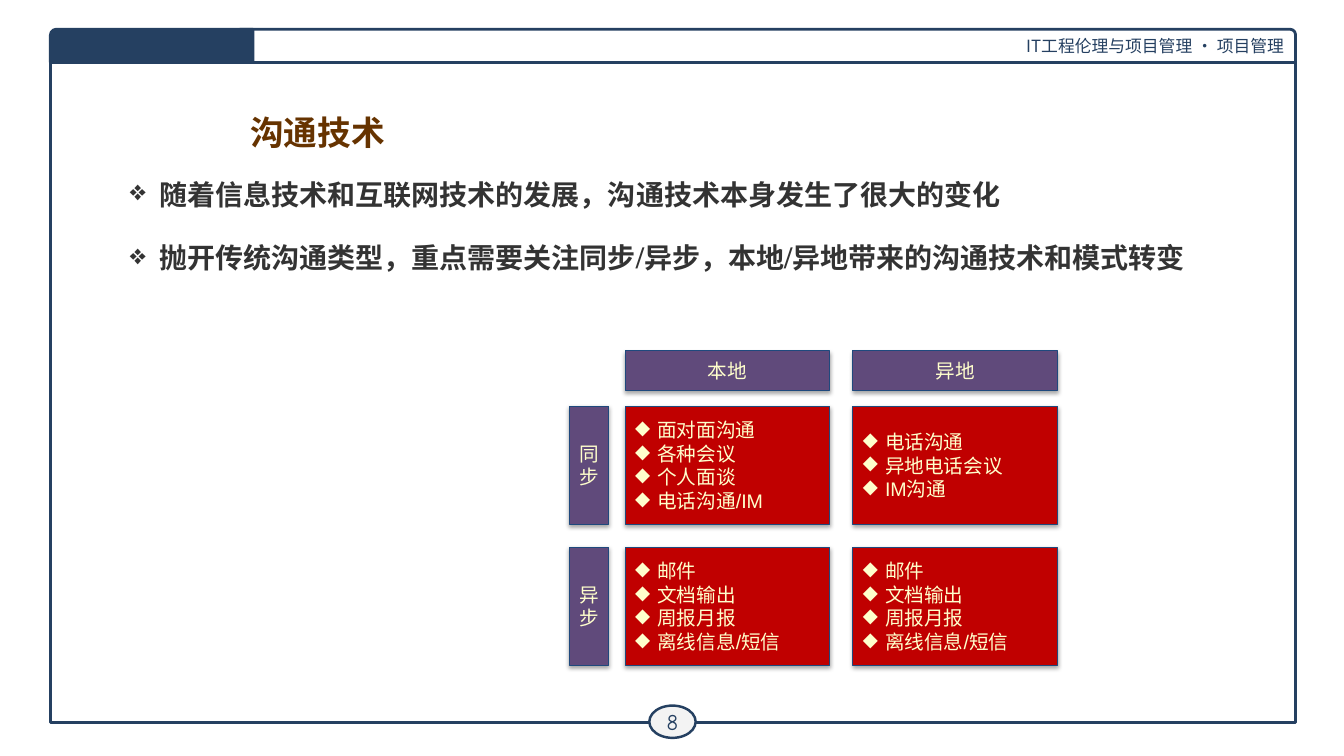
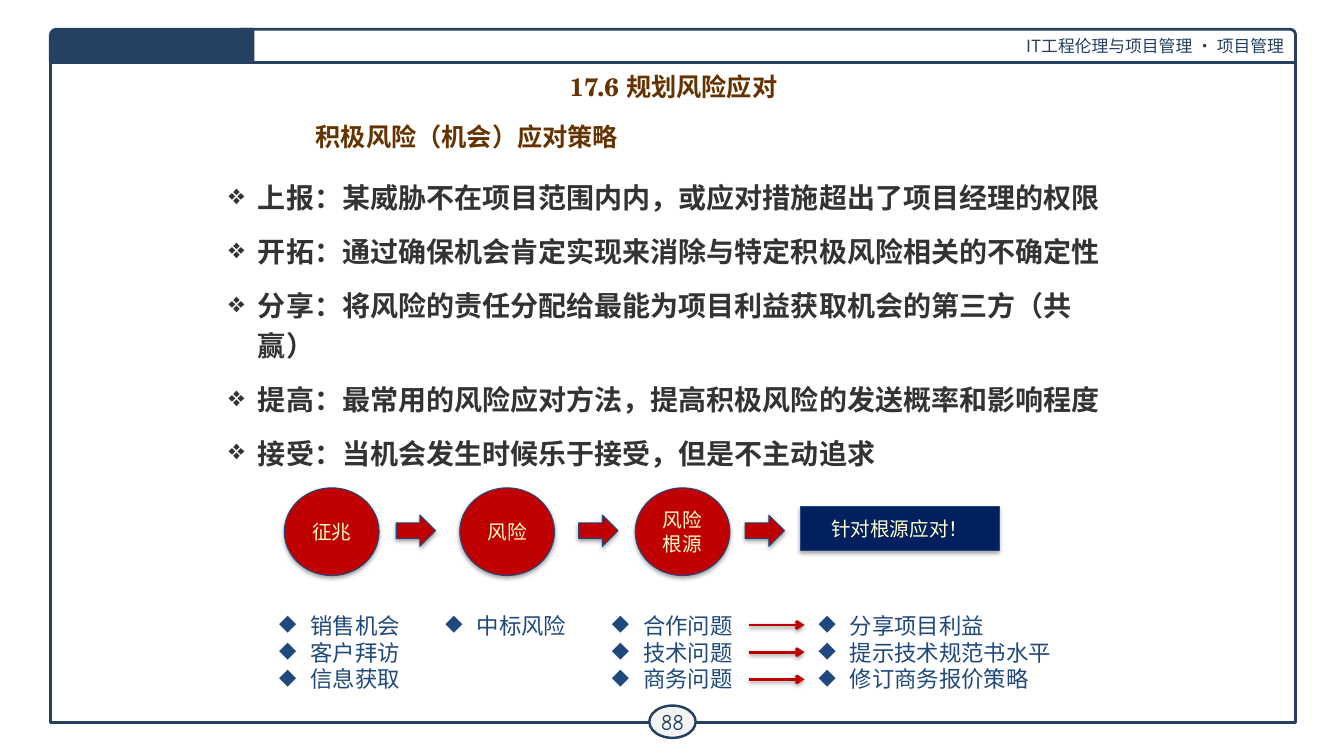
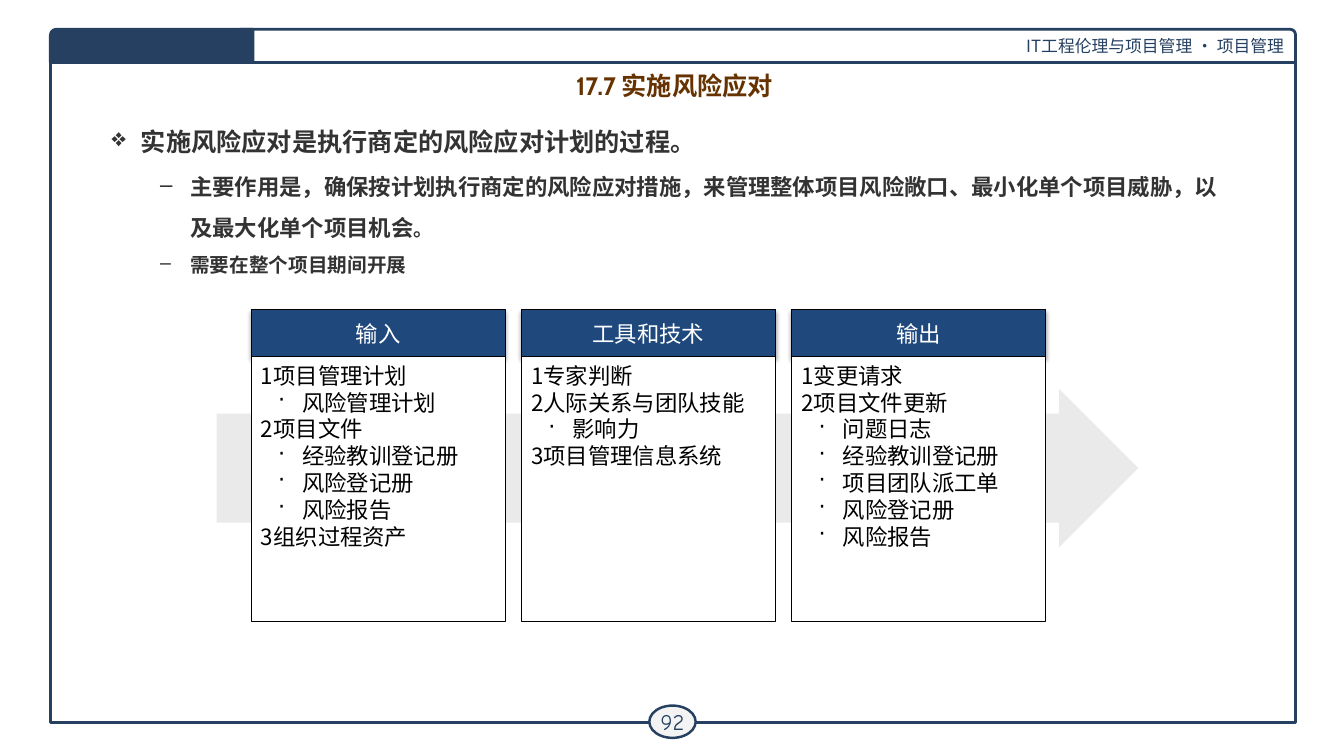
from dataclasses import dataclass

from lxml.etree import SubElement
from pptx import Presentation
from pptx.dml.color import RGBColor
from pptx.enum.shapes import MSO_CONNECTOR, MSO_SHAPE
from pptx.enum.text import MSO_ANCHOR, PP_ALIGN
from pptx.oxml.ns import qn
from pptx.util import Inches, Pt

# Content
COURSE = "IT工程伦理与项目管理 · 项目管理"

CHANNELS_TITLE = "沟通技术"
CHANNELS_POINTS = [
    "随着信息技术和互联网技术的发展，沟通技术本身发生了很大的变化",
    "抛开传统沟通类型，重点需要关注同步/异步，本地/异地带来的沟通技术和模式转变",
]
PLACES = ["本地", "异地"]
ASYNC_CHANNELS = ["邮件", "文档输出", "周报月报", "离线信息/短信"]
CHANNELS = {
    "同步": [
        ["面对面沟通", "各种会议", "个人面谈", "电话沟通/IM"],
        ["电话沟通", "异地电话会议", "IM沟通"],
    ],
    "异步": [ASYNC_CHANNELS, ASYNC_CHANNELS],
}

RISK_TITLE = "17.6 规划风险应对"
RISK_SUBTITLE = "积极风险（机会）应对策略"
RISK_POINTS = [
    "上报：某威胁不在项目范围内内，或应对措施超出了项目经理的权限",
    "开拓：通过确保机会肯定实现来消除与特定积极风险相关的不确定性",
    "分享：将风险的责任分配给最能为项目利益获取机会的第三方（共赢）",
    "提高：最常用的风险应对方法，提高积极风险的发送概率和影响程度",
    "接受：当机会发生时候乐于接受，但是不主动追求",
]
RISK_STAGES = ["征兆", "风险", "风险根源"]
RISK_ANSWER = "针对根源应对！"
STAGE_ARROW_LEFTS = [3.93, 5.74, 7.39]
STAGE_EXAMPLES = [
    ["销售机会", "客户拜访", "信息获取"],
    ["中标风险"],
    ["合作问题", "技术问题", "商务问题"],
]
ANSWERS = ["分享项目利益", "提示技术规范书水平", "修订商务报价策略"]

PROCESS_TITLE = "17.7 实施风险应对"
FULL_STOP = ("。", {"name": "TeX Gyre Schola"})
SMALL_STOP = ("。", {"name": "TeX Gyre Schola", "size": Pt(14)})
PROCESS_POINTS = [
    ("process", [("实施风险应对是执行商定的风险应对计划的过程", {}), FULL_STOP]),
    ("detail", [("主要作用是，确保按计划执行商定的风险应对措施，来管理整体项目风险敞口、"
                 "最小化单个项目威胁，以及最大化单个项目机会", {}), SMALL_STOP]),
    ("detail", [("需要在整个项目期间开展", SMALL_STOP[1])]),
]
# A nested list holds the sub-items of the entry before it
PROCESS_PANELS = {
    "输入": ["1项目管理计划", ["风险管理计划"], "2项目文件",
             ["经验教训登记册", "风险登记册", "风险报告"], "3组织过程资产"],
    "工具和技术": ["1专家判断", "2人际关系与团队技能", ["影响力"], "3项目管理信息系统"],
    "输出": ["1变更请求", "2项目文件更新",
             ["问题日志", "经验教训登记册", "项目团队派工单", "风险登记册", "风险报告"]],
}


# Theme
@dataclass(frozen=True)
class Style:
    font: str
    size: float
    color: str
    bold: bool = False
    align: PP_ALIGN = PP_ALIGN.LEFT
    line: float = 1.0
    before: float = 0
    after: float = 0
    margin: float = 0
    hang: float = 0
    bullet: str = ""


class Theme:
    navy, blue, red = "254061", "1F497D", "C00000"
    purple, midnight, brown = "604A7B", "002060", "663300"
    cream, ink, white, black = "FFFFCC", "333333", "FFFFFF", "000000"
    badge, pale = "F3F3F3", "EAEAEA"
    serif, sans, cjk = "TeX Gyre Schola", "Arial", "Noto Sans CJK SC"
    center = PP_ALIGN.CENTER
    point = dict(bold=True, before=7.2, after=2.4, margin=0.29, hang=0.29, bullet="❖")
    styles = {
        "course": Style(cjk, 12, navy, align=PP_ALIGN.RIGHT),
        "page": Style("Comic Neue", 16, navy, align=center),
        "title": Style(serif, 24, brown, True, center),
        "section": Style(serif, 18, brown, True, center),
        "process_title": Style("Cabin", 18, brown, True, center),
        "loose": Style(serif, 20, ink, line=1.5, **point),
        "tight": Style(serif, 20, ink, line=1.2, **point),
        "process": Style("Cabin", 18, ink, line=1.3, **point),
        "detail": Style("Cabin", 16, ink, True, line=1.5, before=0.4, after=0.1,
                        margin=0.78, hang=0.3, bullet="–"),
        "label": Style(sans, 14, cream, align=center),
        "channel": Style(sans, 14, cream, margin=0.22, hang=0.22, bullet="◆"),
        "example": Style(sans, 16, blue, margin=0.31, hang=0.31, bullet="◆"),
        "panel_head": Style(cjk, 16, white, align=center),
        "panel": Style(cjk, 16, black),
        "panel_sub": Style(cjk, 16, black, margin=0.41, hang=0.24, bullet="·"),
    }


# Helpers
def assign(target, values):
    for name, value in values.items():
        setattr(target, name, value)


def rgb(color):
    return RGBColor.from_string(color)


def set_shadow(shape, visible, alpha=35, distance=1.8):
    properties = shape._element.spPr
    for old in properties.findall(qn("a:effectLst")):
        properties.remove(old)
    effects = SubElement(properties, qn("a:effectLst"))
    if visible:
        outer = SubElement(effects, qn("a:outerShdw"), blurRad=str(Pt(3.1)),
                           dist=str(Pt(distance)), dir="5400000", rotWithShape="0")
        tint = SubElement(outer, qn("a:srgbClr"), val=Theme.black)
        SubElement(tint, qn("a:alpha"), val=str(alpha * 1000))


def write(frame, paragraphs, anchor=MSO_ANCHOR.TOP, wrap=True):
    """Fill a frame with (style name, text or list of (text, font values))."""
    assign(frame, {"word_wrap": wrap, "vertical_anchor": anchor})
    for index, (style_name, content) in enumerate(paragraphs):
        style = Theme.styles[style_name]
        paragraph = frame.add_paragraph() if index else frame.paragraphs[0]
        assign(paragraph, {
            "alignment": style.align, "line_spacing": style.line,
            "space_before": Pt(style.before if index else 0),
            "space_after": Pt(style.after),
        })
        if style.bullet:
            properties = paragraph._p.get_or_add_pPr()
            properties.set("marL", str(Inches(style.margin)))
            properties.set("indent", str(-Inches(style.hang)))
            SubElement(properties, qn("a:buChar"), char=style.bullet)
        runs = [(content, {})] if isinstance(content, str) else content
        for text, changes in runs:
            run = paragraph.add_run()
            run.text = text
            assign(run.font, {"name": style.font, "size": Pt(style.size),
                              "bold": style.bold, **changes})
            run.font.color.rgb = rgb(style.color)


def styled(style_name, texts):
    return [(style_name, text) for text in texts]


def add_text(slide, box, paragraphs, wrap=True):
    textbox = slide.shapes.add_textbox(*map(Inches, box))
    write(textbox.text_frame, paragraphs, wrap=wrap)


def add_block(slide, kind, box, fill=None, line=Theme.blue, weight=0.75,
              shadow=True, paragraphs=(), anchor=MSO_ANCHOR.MIDDLE, wrap=True):
    block = slide.shapes.add_shape(kind, *map(Inches, box))
    block.shadow.inherit = False
    if fill:
        block.fill.solid()
        block.fill.fore_color.rgb = rgb(fill)
    else:
        block.fill.background()
    if line:
        block.line.color.rgb = rgb(line)
        block.line.width = Pt(weight)
    else:
        block.line.fill.background()
    set_shadow(block, shadow)
    write(block.text_frame, paragraphs, anchor, wrap)
    return block


def add_arrow(slide, left, right, y):
    arrow = slide.shapes.add_connector(
        MSO_CONNECTOR.STRAIGHT, *map(Inches, (left, y, right, y)))
    arrow.line.color.rgb = rgb(Theme.red)
    arrow.line.width = Pt(2)
    SubElement(arrow.get_or_add_ln(), qn("a:tailEnd"), type="arrow")
    set_shadow(arrow, True, alpha=38, distance=1.6)


# Shared page frame
def add_page(deck, number):
    slide = deck.slides.add_slide(deck.slide_layouts[6])
    edge = dict(line=Theme.navy, weight=2, shadow=False)
    corner = MSO_SHAPE.ROUND_1_RECTANGLE
    add_block(slide, MSO_SHAPE.RECTANGLE, (0.5, 0.5, 12.35, 6.67), **edge)
    add_block(slide, corner, (2.38, 0.29, 10.47, 0.33), Theme.white,
              paragraphs=[("course", COURSE)], **edge)
    badge = add_block(slide, MSO_SHAPE.OVAL, (6.44, 7, 0.46, 0.32), Theme.badge,
                      paragraphs=[("page", str(number))], wrap=False,
                      **{**edge, "weight": 1.75})
    sides = ("left", "top", "right", "bottom")
    assign(badge.text_frame, {f"margin_{side}": Inches(0.04) for side in sides})
    tab = add_block(slide, corner, (0.5, 0.29, 2.01, 0.33), Theme.navy, **edge)
    tab.adjustments[0] = 0.18
    tab._element.spPr.xfrm.set("flipH", "1")
    return slide


# Slides
def build_channels(deck):
    slide = add_page(deck, 8)
    add_text(slide, (1.41, 1.06, 3.48, 0.48), [("title", CHANNELS_TITLE)])
    add_text(slide, (1.19, 1.54, 10.84, 1.01), styled("loose", CHANNELS_POINTS))

    lefts = [6.2 + 2.26 * column for column in range(len(PLACES))]
    width, height, band = 2.03, 1.17, 0.39
    for left, place in zip(lefts, PLACES):
        add_block(slide, MSO_SHAPE.RECTANGLE, (left, 3.48, width, band),
                  Theme.purple, paragraphs=[("label", place)])
    for row, (timing, cells) in enumerate(CHANNELS.items()):
        top = 4.03 + 1.4 * row
        add_block(slide, MSO_SHAPE.RECTANGLE, (5.65, top, band, height),
                  Theme.purple, paragraphs=[("label", timing)])
        for left, channels in zip(lefts, cells):
            add_block(slide, MSO_SHAPE.RECTANGLE, (left, top, width, height),
                      Theme.red, paragraphs=styled("channel", channels))


def build_risk_answers(deck):
    slide = add_page(deck, 88)
    add_text(slide, (2.18, 0.66, 9, 0.48), [("section", RISK_TITLE)])
    add_text(slide, (2.02, 1.15, 5.22, 0.48), [("section", RISK_SUBTITLE)])
    add_text(slide, (2.17, 1.68, 8.92, 1.5), styled("tight", RISK_POINTS))

    # Chain from sign to root cause
    for index, stage in enumerate(RISK_STAGES):
        add_block(slide, MSO_SHAPE.OVAL, (2.82 + 1.74 * index, 4.84, 0.94, 0.87),
                  Theme.red, paragraphs=[("label", stage)])
    for left in STAGE_ARROW_LEFTS:
        add_block(slide, MSO_SHAPE.RIGHT_ARROW, (left, 5.11, 0.39, 0.31), Theme.red)
    add_block(slide, MSO_SHAPE.RECTANGLE, (7.94, 5.03, 1.97, 0.43),
              Theme.midnight, paragraphs=[("label", RISK_ANSWER)])

    # Examples under the chain
    for index, examples in enumerate(STAGE_EXAMPLES):
        box = (2.67 + 1.65 * index, 6.02, 1.42, 0.1 + 0.27 * len(examples))
        add_text(slide, box, styled("example", examples), wrap=False)
    add_text(slide, (8.02, 6.02, 3.15, 0.91), styled("example", ANSWERS))
    for index in range(len(ANSWERS)):
        add_arrow(slide, 7.43, 7.98, 6.2 + 0.27 * index)


def build_process(deck):
    slide = add_page(deck, 92)
    add_text(slide, (0.69, 0.65, 12, 0.39), [("process_title", PROCESS_TITLE)])
    add_text(slide, (1.01, 1.11, 11.37, 5.61), PROCESS_POINTS)

    flow = add_block(slide, MSO_SHAPE.RIGHT_ARROW, (2.15, 3.86, 9.14, 1.57),
                     Theme.pale, line=None, shadow=False)
    flow.adjustments[0], flow.adjustments[1] = 0.69, 0.5
    for index, (heading, entries) in enumerate(PROCESS_PANELS.items()):
        left, width = 2.49 + 2.68 * index, 2.52
        lines = []
        for entry in entries:
            nested = isinstance(entry, list)
            lines += styled("panel_sub", entry) if nested else [("panel", entry)]
        add_block(slide, MSO_SHAPE.RECTANGLE, (left, 3.07, width, 0.47), Theme.blue,
                  line=Theme.black, paragraphs=[("panel_head", heading)])
        add_block(slide, MSO_SHAPE.RECTANGLE, (left, 3.54, width, 2.63), Theme.white,
                  line=Theme.black, shadow=False, paragraphs=lines,
                  anchor=MSO_ANCHOR.TOP)


def main():
    deck = Presentation()
    assign(deck, {"slide_width": Inches(13.33), "slide_height": Inches(7.5)})
    for build in (build_channels, build_risk_answers, build_process):
        build(deck)
    deck.save("out.pptx")


if __name__ == "__main__":
    main()
